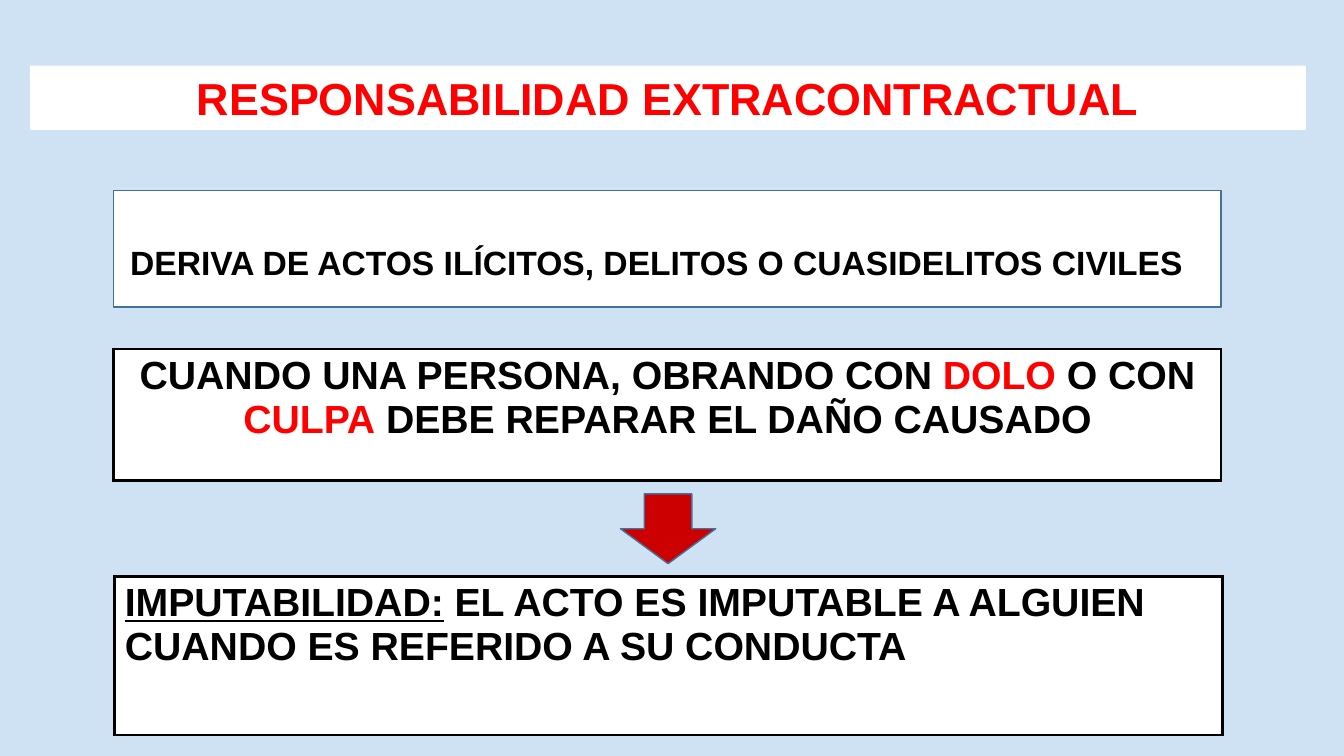
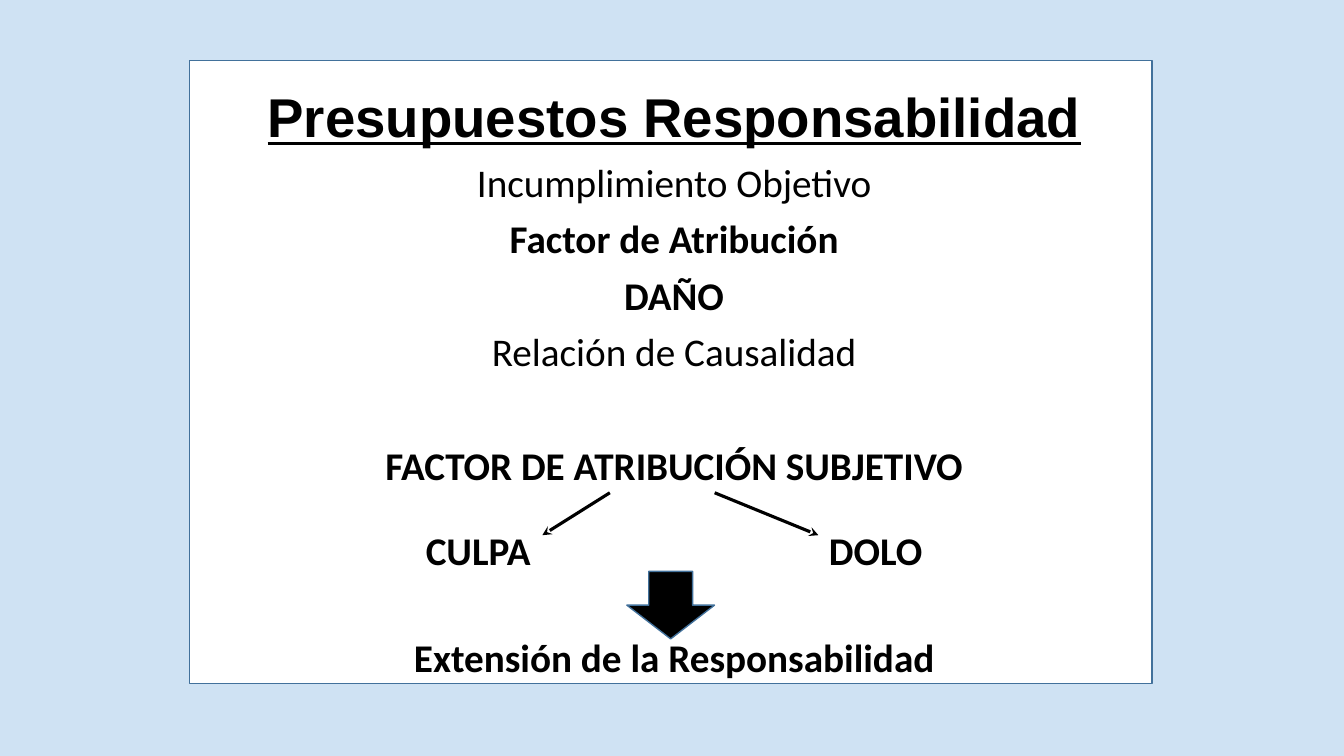
from lxml import etree
from pptx import Presentation
from pptx.dml.color import RGBColor
from pptx.enum.shapes import MSO_CONNECTOR as Connector, MSO_SHAPE as Shape
from pptx.enum.text import PP_ALIGN as Align
from pptx.oxml import parse_xml
from pptx.oxml.ns import nsdecls, qn
from pptx.util import Pt

SKY = RGBColor(0xCF, 0xE2, 0xF3)
WHITE = RGBColor(0xFF, 0xFF, 0xFF)
BLACK = RGBColor(0, 0, 0)
RED = RGBColor(0xFF, 0, 0)
DARK_RED = RGBColor(0xCC, 0, 0)
BLUE = RGBColor(0x42, 0x71, 0x9B)


def add_figure(page, kind, place, fill, outline=BLUE):
    figure = page.shapes.add_shape(kind, *map(Pt, place))
    figure.shadow.inherit = False
    figure.fill.solid()
    figure.fill.fore_color.rgb = fill
    if outline is None:
        figure.line.fill.background()
    else:
        figure.line.color.rgb = outline
        figure.line.width = Pt(1)
    return figure


def add_span(para, text, size, color=BLACK, bold=True, underline=False, face="Arial"):
    span = para.add_run()
    span.text = text
    span.font.name = face
    span.font.size = Pt(size)
    span.font.color.rgb = color
    span.font.bold = bold
    span.font.underline = underline


# Deck with one shared background
deck = Presentation()
deck.slide_width, deck.slide_height = Pt(960), Pt(540)
background = deck.slide_master.background.fill
background.solid()
background.fore_color.rgb = SKY
blank = deck.slide_layouts[6]

# Slide 1: title band
page = deck.slides.add_slide(blank)
band = add_figure(page, Shape.RECTANGLE, (21.4, 46.8, 911.5, 46), WHITE, None)
para = band.text_frame.paragraphs[0]
para.alignment = Align.CENTER
add_span(para, "RESPONSABILIDAD EXTRACONTRACTUAL", 32, RED)

# Slide 1: origin of the liability
add_figure(page, Shape.RECTANGLE, (81.2, 136, 791, 83.2), WHITE)
box = page.shapes.add_textbox(Pt(36), Pt(169), Pt(866), Pt(36))
box.text_frame.word_wrap = True
para = box.text_frame.paragraphs[0]
para.alignment = Align.CENTER
add_span(para, "DERIVA DE ACTOS ILÍCITOS, DELITOS O CUASIDELITOS CIVILES", 24)

# Slide 1: framed one-cell tables
statements = [
    (81.2, 249.2, 94.3, Align.CENTER, [
        ("CUANDO UNA PERSONA, OBRANDO CON ", BLACK, False),
        ("DOLO", RED, False),
        (" O CON ", BLACK, False),
        ("CULPA", RED, False),
        (" DEBE REPARAR EL DAÑO CAUSADO", BLACK, False)]),
    (82, 411.8, 113.2, Align.LEFT, [
        ("IMPUTABILIDAD:", BLACK, True),
        (" EL ACTO ES IMPUTABLE A ALGUIEN CUANDO ES REFERIDO A SU CONDUCTA",
         BLACK, False)]),
]
for left, top, height, alignment, spans in statements:
    frame = page.shapes.add_table(1, 1, Pt(left), Pt(top), Pt(791), Pt(height))
    table = frame.table
    table.first_row = table.horz_banding = False
    cell = table.cell(0, 0)
    para = cell.text_frame.paragraphs[0]
    para.alignment = alignment
    for text, color, underline in spans:
        add_span(para, text, 28, color, underline=underline)
    cell.fill.solid()
    cell.fill.fore_color.rgb = WHITE
    # Borders come before the fill in the cell properties
    properties = cell._tc.get_or_add_tcPr()
    for index, side in enumerate(("lnL", "lnR", "lnT", "lnB")):
        properties.insert(index, parse_xml(
            f'<a:{side} {nsdecls("a")} w="{Pt(2.25)}"><a:solidFill>'
            f'<a:srgbClr val="{BLACK}"/></a:solidFill></a:{side}>'))

add_figure(page, Shape.DOWN_ARROW, (443.2, 352.8, 68, 49.8), DARK_RED)

# Slide 2: panel and list of requirements
page = deck.slides.add_slide(blank)
add_figure(page, Shape.RECTANGLE, (135.2, 43.2, 687.8, 445), WHITE)
box = page.shapes.add_textbox(Pt(46), Pt(61.2), Pt(871), Pt(445))
frame = box.text_frame
frame.word_wrap = True
para = frame.paragraphs[0]
para.alignment = Align.CENTER
para.line_spacing = 0.9
add_span(para, "Presupuestos Responsabilidad", 39, underline=True)

requirements = [
    ("Incumplimiento Objetivo", False, 10),
    ("Factor de Atribución", True, 10),
    ("DAÑO", True, 10),
    ("Relación de Causalidad", False, 10),
    ("FACTOR DE ATRIBUCIÓN SUBJETIVO", True, 50.8),
    ("CULPA\tDOLO", True, 30.8),
    ("Extensión de la Responsabilidad", True, 46.4),
]
for text, bold, gap in requirements:
    para = frame.add_paragraph()
    para.alignment = Align.CENTER
    para.line_spacing = 0.9
    para.space_before = Pt(gap)
    if "\t" in text:
        stops = etree.SubElement(para._p.get_or_add_pPr(), qn("a:tabLst"))
        etree.SubElement(stops, qn("a:tab"), pos=str(Pt(288)), algn="l")
    add_span(para, text, 28, bold=bold, face="Calibri")

# Slide 2: arrows to the two kinds and to the outcome
for start, end in ((435.6, 387.4), (510.5, 584.6)):
    arrow = page.shapes.add_connector(
        Connector.STRAIGHT, Pt(start), Pt(352), Pt(end), Pt(382.3))
    arrow.line.color.rgb = BLACK
    arrow.line.width = Pt(2.25)
    etree.SubElement(arrow.line._get_or_add_ln(), qn("a:tailEnd"), type="stealth")
    etree.SubElement(arrow._element.spPr, qn("a:effectLst"))

add_figure(page, Shape.DOWN_ARROW, (447.8, 408.2, 62.6, 48.2), BLACK)

deck.save("out.pptx")
